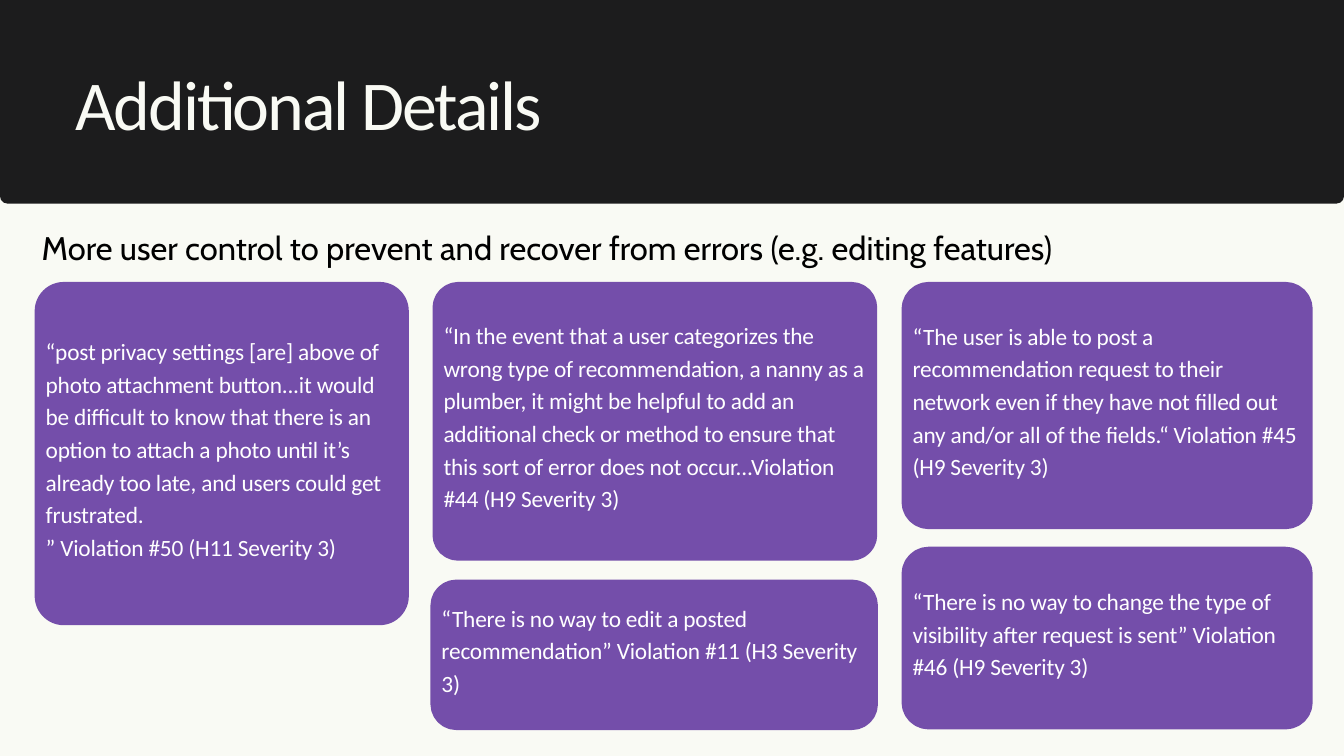
"""Build the Additional Details slide with its cards of quoted violations."""
from pptx import Presentation
from pptx.dml.color import RGBColor
from pptx.enum.shapes import MSO_SHAPE
from pptx.enum.text import MSO_ANCHOR, PP_ALIGN
from pptx.util import Inches, Pt

COLORS = {"paper": "F9FAF4", "band": "1C1C1D", "card": "744EAA",
          "white": "FFFFFF", "black": "000000"}

deck = Presentation()
deck.slide_width, deck.slide_height = Inches(20), Inches(11.25)
slide = deck.slides.add_slide(deck.slide_layouts[6])
slide.background.fill.solid()
slide.background.fill.fore_color.rgb = RGBColor.from_string(COLORS["paper"])


def add_panel(left, top, width, height, radius, color, border=0):
    panel = slide.shapes.add_shape(MSO_SHAPE.ROUNDED_RECTANGLE, Inches(left),
                                   Inches(top), Inches(width), Inches(height))
    panel.adjustments[0] = radius / min(width, height)
    panel.shadow.inherit = False
    panel.fill.solid()
    panel.fill.fore_color.rgb = RGBColor.from_string(COLORS[color])
    if border:
        panel.line.color.rgb = RGBColor.from_string(COLORS[color])
        panel.line.width = Pt(border)
    else:
        panel.line.fill.background()


def add_text(left, top, width, height, text, font, size, color, leading,
             spacing=0, inset=0, anchor=MSO_ANCHOR.TOP):
    box = slide.shapes.add_textbox(Inches(left), Inches(top),
                                   Inches(width), Inches(height))
    frame = box.text_frame
    frame.word_wrap = True
    frame.vertical_anchor = anchor
    frame.margin_left = frame.margin_right = Inches(inset)
    frame.margin_top = frame.margin_bottom = Inches(inset)
    frame.text = text
    for line in frame.paragraphs:
        line.alignment = PP_ALIGN.LEFT
        line.line_spacing = Pt(leading)
        for run in line.runs:
            run.font.name = font
            run.font.size = Pt(size)
            run.font.color.rgb = RGBColor.from_string(COLORS[color])
            if spacing:
                run._r.get_or_add_rPr().set("spc", str(int(spacing * 100)))


add_panel(0, -0.53, 20, 3.56, 0.11, "band")
add_text(1.12, 0.85, 12.86, 1.29, "Additional Details",
         "Calibri", 75, "paper", 93.8, -2.2)
add_text(0.62, 3.3, 18.25, 0.65,
         "More user control to prevent and recover from errors "
         "(e.g. editing features)", "Cabin", 35, "black", 49)

cards = [
    (6.51, 8.73, 6.45, 2.03, 0.28,
     "“There is no way to edit a posted recommendation” "
     "Violation #11 (H3 Severity 3)"),
    (6.54, 4.3, 6.41, 3.94, 0.28,
     "“In the event that a user categorizes the wrong type of recommendation, "
     "a nanny as a plumber, it might be helpful to add an additional check or "
     "method to ensure that this sort of error does not occur..."
     "Violation #44 (H9 Severity 3)"),
    (13.52, 4.3, 5.91, 3.47, 0.3,
     "“The user is able to post a recommendation request to their network "
     "even if they have not filled out any and/or all of the fields.“ "
     "Violation #45 (H9 Severity 3)"),
    (13.52, 8.24, 5.91, 2.51, 0.3,
     "“There is no way to change the type of visibility after request is "
     "sent” Violation #46 (H9 Severity 3)"),
    (0.62, 4.3, 5.36, 4.9, 0.33,
     "“post privacy settings [are] above of photo attachment button...it "
     "would be difficult to know that there is an option to attach a photo "
     "until it’s already too late, and users could get frustrated.\n"
     "” Violation #50 (H11 Severity 3)"),
]
for left, top, width, height, radius, quote in cards:
    add_panel(left, top, width, height, radius, "card", 15)
    add_text(left, top - 0.2, width, height + 0.2, quote, "Calibri", 25,
             "white", 35, -0.2, 0.06, MSO_ANCHOR.MIDDLE)

deck.save("out.pptx")
